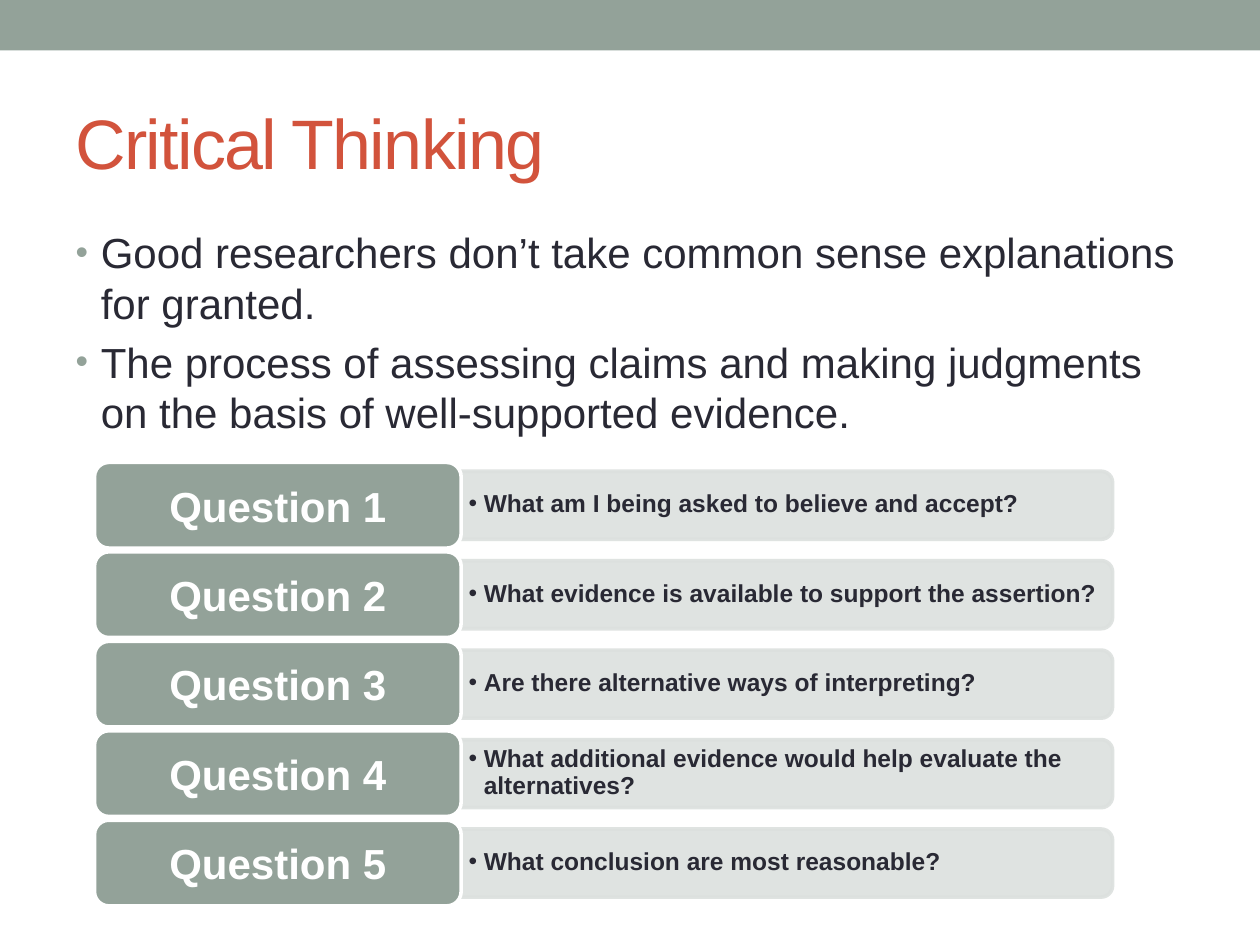
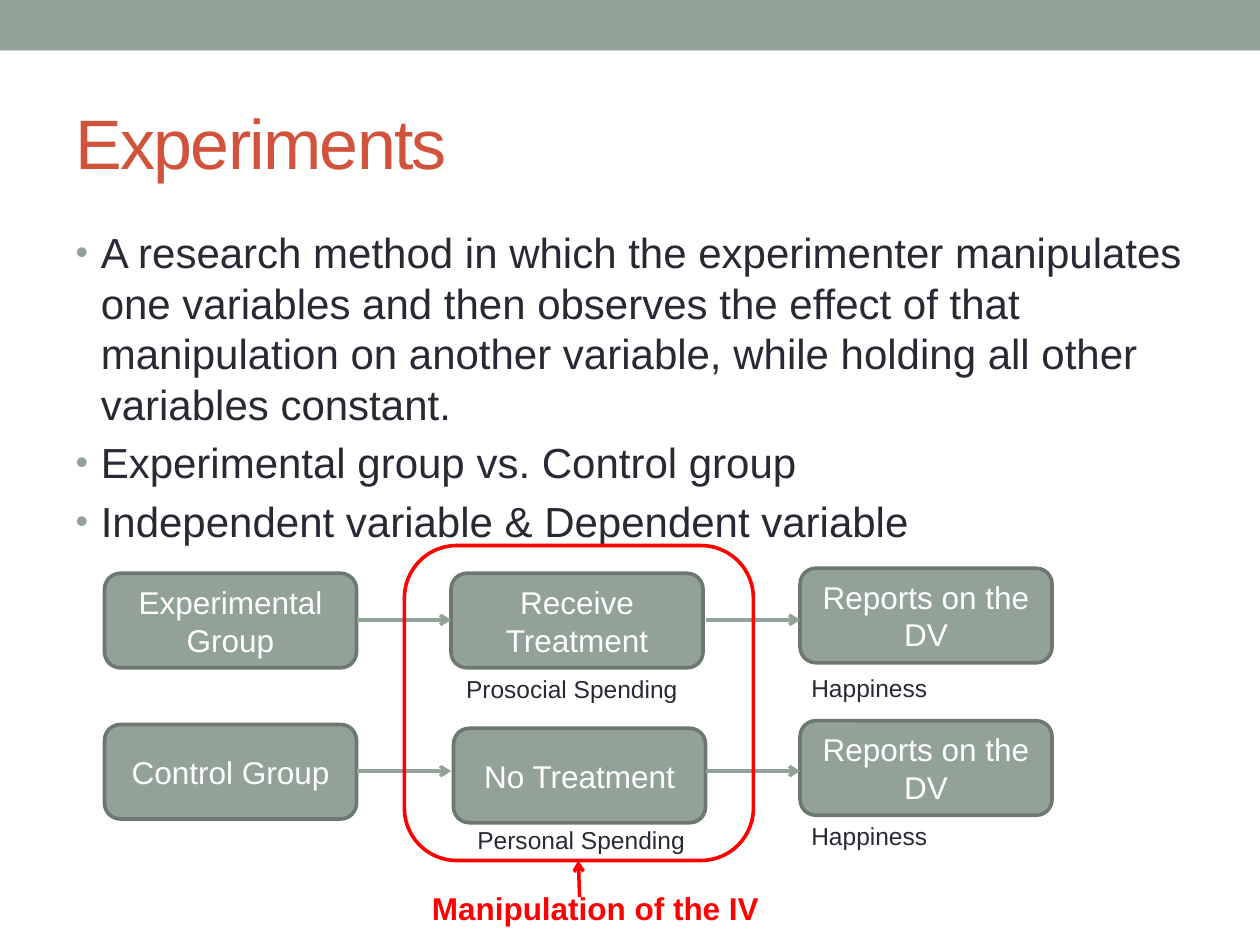
"""Build two slides on critical thinking and experiments."""
from lxml.etree import SubElement
from pptx import Presentation
from pptx.dml.color import RGBColor
from pptx.enum.shapes import MSO_CONNECTOR as CONNECTOR, MSO_SHAPE as SHAPE
from pptx.enum.text import MSO_ANCHOR as ANCHOR, MSO_AUTO_SIZE as AUTO_SIZE, PP_ALIGN as ALIGN
from pptx.oxml.ns import qn
from pptx.util import Inches, Pt

FONT = "Arial"
COLORS = {
    "sage": "93A299",
    "sage_dark": "6D7871",
    "sage_pale": "DCE0DE",
    "rust": "D2533C",
    "ink": "292934",
    "white": "FFFFFF",
    "red": "FF0000",
}
OUTLINE = 2.08
QUESTIONS = [
    "What am I being asked to believe and accept?",
    "What evidence is available to support the assertion?",
    "Are there alternative ways of interpreting?",
    "What additional evidence would help evaluate the alternatives?",
    "What conclusion are most reasonable?",
]


def rgb(name):
    """Return the named colour."""
    return RGBColor.from_string(COLORS[name])


def add_run(paragraph, text, size, color, bold=False):
    """Add one formatted run and return it."""
    run = paragraph.add_run()
    run.text = text
    run.font.name = FONT
    run.font.size = Pt(size)
    run.font.bold = bold
    run.font.color.rgb = rgb(color)
    return run


def set_bullet(paragraph, indent, color=None, size=100):
    """Give a paragraph a round bullet with a hanging indent."""
    properties = paragraph._p.get_or_add_pPr()
    properties.set("marL", str(Inches(indent)))
    properties.set("indent", str(-Inches(indent)))
    if color:
        bullet_color = SubElement(properties, qn("a:buClr"))
        SubElement(bullet_color, qn("a:srgbClr"), val=COLORS[color])
    SubElement(properties, qn("a:buSzPct"), val=str(size * 1000))
    SubElement(properties, qn("a:buFont"), typeface=FONT)
    SubElement(properties, qn("a:buChar"), char="•")


def set_opacity(shape, percent):
    """Make the fill and line of a shape partly transparent."""
    for color in shape._element.spPr.iter(qn("a:srgbClr")):
        SubElement(color, qn("a:alpha"), val=str(percent * 1000))


def add_box(slide, kind, box, fill=None, line=None):
    """Add a preset shape with an optional fill and outline."""
    shape = slide.shapes.add_shape(kind, *map(Inches, box))
    shape.shadow.inherit = False
    if fill:
        shape.fill.solid()
        shape.fill.fore_color.rgb = rgb(fill)
    else:
        shape.fill.background()
    if line:
        shape.line.color.rgb = rgb(line)
        shape.line.width = Pt(OUTLINE)
    else:
        shape.line.fill.background()
    return shape


def add_label_box(slide, box, text, size, line, bold=False):
    """Add a rounded sage box with centred white text."""
    shape = add_box(slide, SHAPE.ROUNDED_RECTANGLE, box, "sage", line)
    shape.text_frame.word_wrap = True
    shape.text_frame.vertical_anchor = ANCHOR.MIDDLE
    paragraph = shape.text_frame.paragraphs[0]
    paragraph.alignment = ALIGN.CENTER
    add_run(paragraph, text, size, "white", bold)


def add_caption(slide, box, text, size=14, color="ink", bold=False):
    """Add a text box that grows with its text."""
    frame = slide.shapes.add_textbox(*map(Inches, box)).text_frame
    frame.word_wrap = True
    frame.auto_size = AUTO_SIZE.SHAPE_TO_FIT_TEXT
    add_run(frame.paragraphs[0], text, size, color, bold)


def add_arrow(slide, start, end, color):
    """Add a straight line with an open arrowhead at its end."""
    points = map(Inches, (*start, *end))
    arrow = slide.shapes.add_connector(CONNECTOR.STRAIGHT, *points)
    arrow.line.color.rgb = rgb(color)
    arrow.line.width = Pt(2)
    SubElement(arrow.line._get_or_add_ln(), qn("a:tailEnd"), type="arrow")
    SubElement(arrow._element.spPr, qn("a:effectLst"))


def add_content_slide(presentation, title, points):
    """Add a slide with a title and a bulleted list."""
    slide = presentation.slides.add_slide(presentation.slide_layouts[1])
    heading, body = slide.placeholders
    for placeholder, top, height in ((heading, 0.58, 1.08), (body, 1.75, 5.33)):
        placeholder.left, placeholder.top = Inches(0.5), Inches(top)
        placeholder.width, placeholder.height = Inches(9), Inches(height)
        placeholder.text_frame.auto_size = AUTO_SIZE.NONE
    heading.text_frame.vertical_anchor = ANCHOR.MIDDLE
    paragraph = heading.text_frame.paragraphs[0]
    paragraph.alignment = ALIGN.LEFT
    run = add_run(paragraph, title, 40, "rust")
    run.font._element.set("spc", "-100")
    frame = body.text_frame
    frame.vertical_anchor = ANCHOR.TOP
    for index, point in enumerate(points):
        paragraph = frame.add_paragraph() if index else frame.paragraphs[0]
        set_bullet(paragraph, 0.2, "sage", 85)
        paragraph.space_before = Pt(4.8 if index else 0)
        add_run(paragraph, point, 24, "ink")
    return slide


def add_master_band(presentation, slide):
    """Place the top band on the slide master."""
    band = add_box(slide, SHAPE.RECTANGLE, (0, 0, 10, 0.4), "sage")
    presentation.slide_master.shapes.element.insert(2, band.element)


def add_question_row(slide, number, question):
    """Add a numbered question label with its answer bar."""
    top = 3.67 + 0.71 * (number - 1)
    middle = top + 0.34
    length, thickness = 5.17, 0.54
    bar_box = (3.66 + (length - thickness) / 2, middle - length / 2, thickness, length)
    bar = add_box(slide, SHAPE.ROUND_2_SAME_RECTANGLE, bar_box, "sage_pale", "sage_pale")
    bar.rotation = 90
    set_opacity(bar, 90)
    text_box = (3.66, middle - 0.25, 5.15, 0.49)
    frame = slide.shapes.add_textbox(*map(Inches, text_box)).text_frame
    frame.word_wrap = True
    frame.vertical_anchor = ANCHOR.MIDDLE
    frame.margin_left = frame.margin_right = Inches(0.06)
    frame.margin_top = frame.margin_bottom = Inches(0.03)
    paragraph = frame.paragraphs[0]
    set_bullet(paragraph, 0.12)
    paragraph.line_spacing = 0.9
    add_run(paragraph, question, 14, "ink", True)
    add_label_box(slide, (0.75, top, 2.91, 0.68), f"Question {number}", 24, "white", True)


def add_experiment_diagram(slide):
    """Add the two group rows and the frame around the manipulation."""
    steps = [
        (0.83, 4.55, "Experimental Group"),
        (0.83, 5.75, "Control Group"),
        (3.58, 4.55, "Receive Treatment"),
        (3.6, 5.78, "No Treatment"),
        (6.35, 4.51, "Reports on the DV"),
        (6.35, 5.72, "Reports on the DV"),
    ]
    for left, top, text in steps:
        add_label_box(slide, (left, top, 2, 0.75), text, 18, "sage_dark")
    for left in (2.83, 5.6):
        for height in (4.92, 6.12):
            add_arrow(slide, (left, height), (left + 0.75, height), "sage")
    add_box(slide, SHAPE.ROUNDED_RECTANGLE, (3.21, 4.33, 2.77, 2.5), line="red")
    add_caption(slide, (3.33, 7.01, 2.83, 0.4), "Manipulation of the IV", 18, "red", True)
    add_arrow(slide, (4.6, 7.12), (4.59, 6.83), "red")
    captions = [
        (3.6, 5.3, "Prosocial Spending"),
        (3.69, 6.5, "Personal Spending"),
        (6.34, 5.29, "Happiness"),
        (6.34, 6.47, "Happiness"),
    ]
    for left, top, text in captions:
        add_caption(slide, (left, top, 1.98, 0.34), text)


def main():
    """Build and save the presentation."""
    presentation = Presentation()
    presentation.slide_width, presentation.slide_height = Inches(10), Inches(7.5)

    thinking = add_content_slide(presentation, "Critical Thinking", [
        "Good researchers don’t take common sense explanations for granted.",
        "The process of assessing claims and making judgments on the basis of "
        "well-supported evidence.",
    ])
    add_master_band(presentation, thinking)
    for number, question in enumerate(QUESTIONS, 1):
        add_question_row(thinking, number, question)

    experiments = add_content_slide(presentation, "Experiments", [
        "A research method in which the experimenter manipulates one variables and "
        "then observes the effect of that manipulation on another variable, while "
        "holding all other variables constant.",
        "Experimental group vs. Control group",
        "Independent variable & Dependent variable",
    ])
    add_experiment_diagram(experiments)
    presentation.save("out.pptx")


if __name__ == "__main__":
    main()
